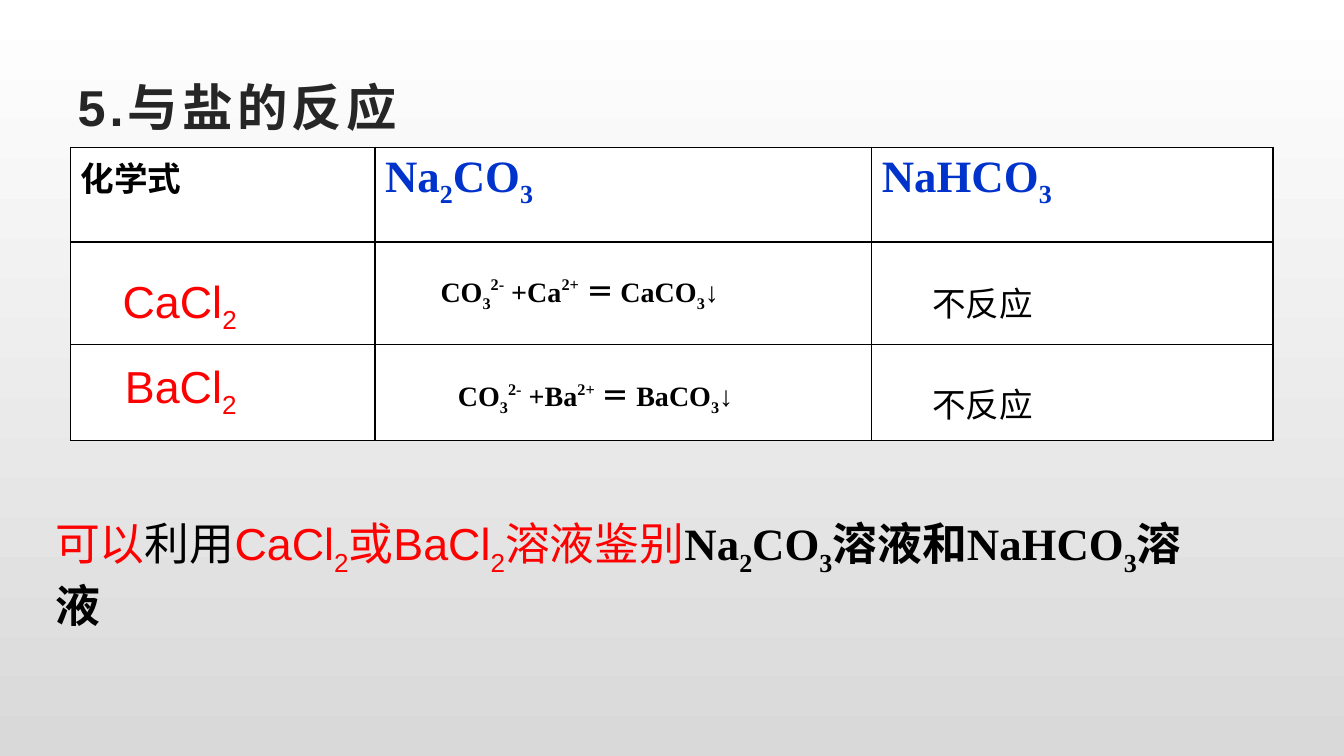
"""Build the slide comparing how sodium carbonate and bicarbonate react with salts."""
from dataclasses import dataclass
from typing import Optional

from lxml.etree import SubElement
from pptx import Presentation
from pptx.dml.color import RGBColor
from pptx.enum.text import MSO_ANCHOR, PP_ALIGN
from pptx.oxml.ns import qn
from pptx.util import Cm, Pt

BLACK = RGBColor(0x00, 0x00, 0x00)
WHITE = RGBColor(0xFF, 0xFF, 0xFF)
GREY = RGBColor(0xD9, 0xD9, 0xD9)
CHARCOAL = RGBColor(0x26, 0x26, 0x26)
RED = RGBColor(0xFF, 0x00, 0x00)
BLUE = RGBColor(0x00, 0x33, 0xCC)
SANS = "Arial"
SERIF = "Times New Roman"
SUBSCRIPT = -25000
SUPERSCRIPT = 40000


@dataclass(frozen=True)
class Span:
    text: str
    baseline: int = 0
    color: Optional[RGBColor] = None
    font_name: Optional[str] = None
    bold: Optional[bool] = None


@dataclass(frozen=True)
class Label:
    left: float
    top: float
    width: float
    height: float
    spans: list[Span]
    size: int
    color: Optional[RGBColor] = BLACK
    font_name: Optional[str] = SANS
    bold: Optional[bool] = None
    alignment: PP_ALIGN = PP_ALIGN.LEFT


def formula(*parts: str, color: Optional[RGBColor] = None,
            font_name: Optional[str] = None, bold: Optional[bool] = None) -> list[Span]:
    return [Span(part, SUBSCRIPT if part.isdigit() else 0, color, font_name, bold)
            for part in parts]


def precipitation(metal: str) -> list[Span]:
    return [Span("CO"), Span("3", SUBSCRIPT), Span("2-", SUPERSCRIPT),
            Span(f" +{metal}"), Span("2+", SUPERSCRIPT),
            Span(f" ＝ {metal}CO"), Span("3", SUBSCRIPT), Span("↓")]


def write_spans(paragraph, spans: list[Span]) -> None:
    for span in spans:
        run = paragraph.add_run()
        run.text = span.text
        if span.color is not None:
            run.font.color.rgb = span.color
        if span.font_name is not None:
            run.font.name = span.font_name
        if span.bold is not None:
            run.font.bold = span.bold
        if span.baseline:
            run._r.get_or_add_rPr().set("baseline", str(span.baseline))


def add_label(slide, label: Label) -> None:
    shape = slide.shapes.add_textbox(Cm(label.left), Cm(label.top),
                                     Cm(label.width), Cm(label.height))
    shape.text_frame.word_wrap = True
    paragraph = shape.text_frame.paragraphs[0]
    paragraph.alignment = label.alignment
    paragraph.font.size = Pt(label.size)
    if label.color is not None:
        paragraph.font.color.rgb = label.color
    paragraph.font.name = label.font_name
    paragraph.font.bold = label.bold
    write_spans(paragraph, label.spans)


def add_title(slide) -> None:
    title = slide.shapes.title
    title.left, title.top, title.width, title.height = Cm(1.7), Cm(1.7), Cm(30.48), Cm(1.96)
    title.text_frame.vertical_anchor = MSO_ANCHOR.MIDDLE
    paragraph = title.text_frame.paragraphs[0]
    paragraph.alignment = PP_ALIGN.LEFT
    paragraph.font.size = Pt(36)
    paragraph.font.name = SANS
    paragraph.font.bold = True
    paragraph.font.color.rgb = CHARCOAL
    write_spans(paragraph, [Span("5.与盐的反应")])
    paragraph.runs[0]._r.get_or_add_rPr().set("spc", "300")


def style_cell(cell) -> None:
    properties = cell._tc.get_or_add_tcPr()
    for side in ("a:lnL", "a:lnR", "a:lnT", "a:lnB"):
        line = SubElement(properties, qn(side), w=str(Pt(1)))
        fill = SubElement(line, qn("a:solidFill"))
        SubElement(fill, qn("a:srgbClr"), val=str(BLACK))
    cell.fill.solid()
    cell.fill.fore_color.rgb = WHITE


def add_reaction_table(slide) -> None:
    widths = (7.67, 12.52, 10.11)
    heights = (2.39, 2.59, 2.41)
    headers = (
        (24, [Span("化学式", 0, BLACK, SANS, True)]),
        (32, formula("Na", "2", "CO", "3", color=BLUE, font_name=SERIF, bold=True)),
        (32, formula("NaHCO", "3", color=BLUE, font_name=SERIF, bold=True)),
    )
    table = slide.shapes.add_table(len(heights), len(widths), Cm(1.78), Cm(3.71),
                                   Cm(sum(widths)), Cm(sum(heights))).table
    table.first_row = False
    table.horz_banding = False
    for column, width in zip(table.columns, widths):
        column.width = Cm(width)
    for row, height in zip(table.rows, heights):
        row.height = Cm(height)
    for cell in table.iter_cells():
        style_cell(cell)
    for column_index, (size, spans) in enumerate(headers):
        paragraph = table.cell(0, column_index).text_frame.paragraphs[0]
        paragraph.font.size = Pt(size)
        write_spans(paragraph, spans)


def paint_background(slide) -> None:
    fill = slide.background.fill
    fill.gradient()
    fill.gradient_angle = 270
    for stop, position, color in zip(fill.gradient_stops, (0, 1), (WHITE, GREY)):
        stop.position = position
        stop.color.rgb = color


def main() -> None:
    presentation = Presentation()
    presentation.slide_width, presentation.slide_height = Cm(33.87), Cm(19.05)
    slide = presentation.slides.add_slide(presentation.slide_layouts[5])
    paint_background(slide)
    add_title(slide)
    add_reaction_table(slide)

    conclusion = [
        Span("可以", 0, RED, SANS),
        Span("利用", 0, BLACK, SANS),
        *formula("CaCl", "2", "或BaCl", "2", "溶液鉴别", color=RED, font_name=SANS),
        *formula("Na", "2", "CO", "3", "溶液和NaHCO", "3", "溶液",
                 color=BLACK, font_name=SERIF, bold=True),
    ]
    labels = [
        Label(9.53, 6.78, 10.16, 1.27, precipitation("Ca"), 20, BLACK, SERIF, True,
              PP_ALIGN.CENTER),
        Label(9.93, 9.42, 10.16, 1.27, precipitation("Ba"), 20, BLACK, SERIF, True,
              PP_ALIGN.CENTER),
        Label(1.14, 12.88, 29.95, 3.99, conclusion, 32, None, None),
        Label(23.24, 7.01, 3.3, 1.27, [Span("不反应")], 24),
        Label(23.24, 9.55, 3.3, 1.27, [Span("不反应")], 24),
        Label(2.9, 8.92, 5.05, 2.39, formula("BaCl", "2"), 32, RED),
        Label(2.84, 6.78, 5.05, 2.39, formula("CaCl", "2"), 32, RED),
    ]
    for label in labels:
        add_label(slide, label)
    presentation.save("out.pptx")


if __name__ == "__main__":
    main()
